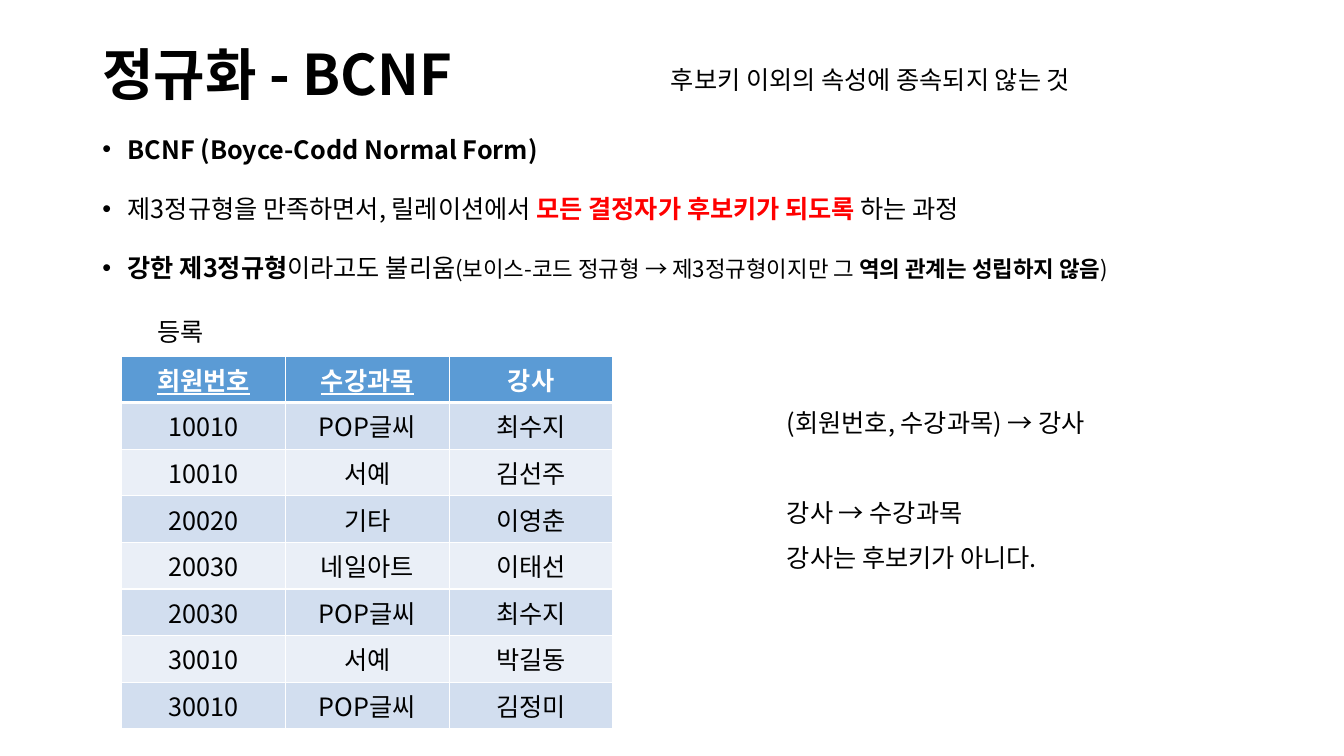
from dataclasses import dataclass
from typing import Any, NamedTuple

from lxml.etree import SubElement
from pptx import Presentation
from pptx.dml.color import RGBColor as Rgb
from pptx.enum.text import MSO_ANCHOR as Anchor
from pptx.enum.text import MSO_AUTO_SIZE as AutoSize
from pptx.enum.text import PP_ALIGN as Align
from pptx.oxml.ns import qn
from pptx.util import Cm, Pt


@dataclass(frozen=True)
class Theme:
    font: str = "Noto Sans CJK KR"
    black: str = "000000"
    white: str = "FFFFFF"
    red: str = "FF0000"
    header: str = "5B9BD5"
    bands: tuple[str, str] = ("D2DEEF", "EAEFF7")
    title: int = 40
    text: int = 18
    aside: int = 16


THEME = Theme()


class Span(NamedTuple):
    text: str
    bold: bool = False
    size: int = THEME.text
    color: str = THEME.black
    underline: bool = False


class Para(NamedTuple):
    spans: list[Span]
    format: dict[str, Any] = {}
    bullet: bool = False


class TextBox(NamedTuple):
    left: float
    top: float
    width: float
    height: float
    paras: list[Para]
    anchor: Anchor = Anchor.TOP
    auto_size: AutoSize = AutoSize.SHAPE_TO_FIT_TEXT


LOOSE = {"line_spacing": 1.5}
NEXT_POINT = {**LOOSE, "space_before": Pt(10)}
NEXT_GROUP = {**LOOSE, "space_before": Pt(32)}

TITLE = TextBox(
    2.33, 1.02, 29.21, 1.86,
    [Para([Span("정규화 - BCNF", True, THEME.title)], {"line_spacing": 0.9})],
    Anchor.MIDDLE, AutoSize.NONE,
)
POINTS = TextBox(
    2.33, 2.87, 29.21, 13.64,
    [
        Para([Span("BCNF (Boyce-Codd Normal Form)", True)], LOOSE, True),
        Para([
            Span("제3정규형을 만족하면서, 릴레이션에서 "),
            Span("모든 결정자가 후보키가 되도록", True, color=THEME.red),
            Span(" 하는 과정"),
        ], NEXT_POINT, True),
        Para([
            Span("강한 제3정규형", True),
            Span("이라고도 불리움"),
            Span("(보이스-코드 정규형 → 제3정규형이지만 그 ", size=THEME.aside),
            Span("역의 관계는 성립하지 않음", True, THEME.aside),
            Span(")", size=THEME.aside),
        ], NEXT_POINT, True),
    ],
    auto_size=AutoSize.NONE,
)
TABLE_NAME = TextBox(3.71, 7.85, 2.69, 1.02, [Para([Span("등록")])])
DEPENDENCIES = TextBox(
    19.58, 9.75, 11.63, 5.64,
    [
        Para([Span("(회원번호, 수강과목) → 강사")], LOOSE),
        Para([Span("강사 → 수강과목")], NEXT_GROUP),
        Para([Span("강사는 후보키가 아니다.")], LOOSE),
    ],
)
RULE = TextBox(
    16.66, 1.5, 12.73, 1.02,
    [Para([Span("후보키 이외의 속성에 종속되지 않는 것")])],
)

COLUMNS = ["회원번호", "수강과목", "강사"]
KEY_COLUMNS = {"회원번호", "수강과목"}
RECORDS = [
    ["10010", "POP글씨", "최수지"],
    ["10010", "서예", "김선주"],
    ["20020", "기타", "이영춘"],
    ["20030", "네일아트", "이태선"],
    ["20030", "POP글씨", "최수지"],
    ["30010", "서예", "박길동"],
    ["30010", "POP글씨", "김정미"],
]


def write_span(para: Any, span: Span) -> None:
    run = para.add_run()
    run.text = span.text
    values = {
        "name": THEME.font,
        "size": Pt(span.size),
        "bold": span.bold,
        "underline": span.underline,
    }
    for name, value in values.items():
        setattr(run.font, name, value)
    run.font.color.rgb = Rgb.from_string(span.color)
    SubElement(run.font._element, qn("a:ea"), typeface=THEME.font)


def add_bullet(para: Any) -> None:
    properties = para._p.get_or_add_pPr()
    properties.set("marL", str(Cm(0.64)))
    properties.set("indent", str(-Cm(0.64)))
    SubElement(properties, qn("a:buFont"), typeface="Arial")
    SubElement(properties, qn("a:buChar"), char="•")


def write_paras(frame: Any, paras: list[Para]) -> None:
    for index, item in enumerate(paras):
        para = frame.add_paragraph() if index else frame.paragraphs[0]
        if item.bullet:
            add_bullet(para)
        for name, value in item.format.items():
            setattr(para, name, value)
        for span in item.spans:
            write_span(para, span)


def draw_text(page: Any, item: TextBox) -> None:
    box = page.shapes.add_textbox(
        Cm(item.left), Cm(item.top), Cm(item.width), Cm(item.height)
    )
    frame = box.text_frame
    values = {
        "word_wrap": True,
        "auto_size": item.auto_size,
        "vertical_anchor": item.anchor,
    }
    for name, value in values.items():
        setattr(frame, name, value)
    write_paras(frame, item.paras)


def add_borders(cell: Any, top: float, bottom: float) -> None:
    properties = cell._tc.get_or_add_tcPr()
    widths = {"a:lnL": 1, "a:lnR": 1, "a:lnT": top, "a:lnB": bottom}
    for side, width in widths.items():
        line = SubElement(properties, qn(side), w=str(Pt(width)))
        fill = SubElement(line, qn("a:solidFill"))
        SubElement(fill, qn("a:srgbClr"), val=THEME.white)


def draw_table(page: Any) -> None:
    rows = [COLUMNS, *RECORDS]
    table = page.shapes.add_table(
        len(rows), len(COLUMNS), Cm(3.06), Cm(8.97), Cm(12.39), Cm(8.24)
    ).table
    for row, texts in enumerate(rows):
        heading = row == 0
        fill = THEME.header if heading else THEME.bands[(row - 1) % 2]
        for column, text in enumerate(texts):
            cell = table.cell(row, column)
            add_borders(cell, 3 if row == 1 else 1, 3 if heading else 1)
            cell.fill.solid()
            cell.fill.fore_color.rgb = Rgb.from_string(fill)
            span = Span(
                text,
                bold=heading,
                color=THEME.white if heading else THEME.black,
                underline=heading and text in KEY_COLUMNS,
            )
            write_paras(cell.text_frame, [Para([span], {"alignment": Align.CENTER})])


def main() -> None:
    deck = Presentation()
    deck.slide_width, deck.slide_height = Cm(33.87), Cm(19.05)
    page = deck.slides.add_slide(deck.slide_layouts[6])
    for item in (TITLE, POINTS):
        draw_text(page, item)
    draw_table(page)
    for item in (TABLE_NAME, DEPENDENCIES, RULE):
        draw_text(page, item)
    deck.save("out.pptx")


if __name__ == "__main__":
    main()
